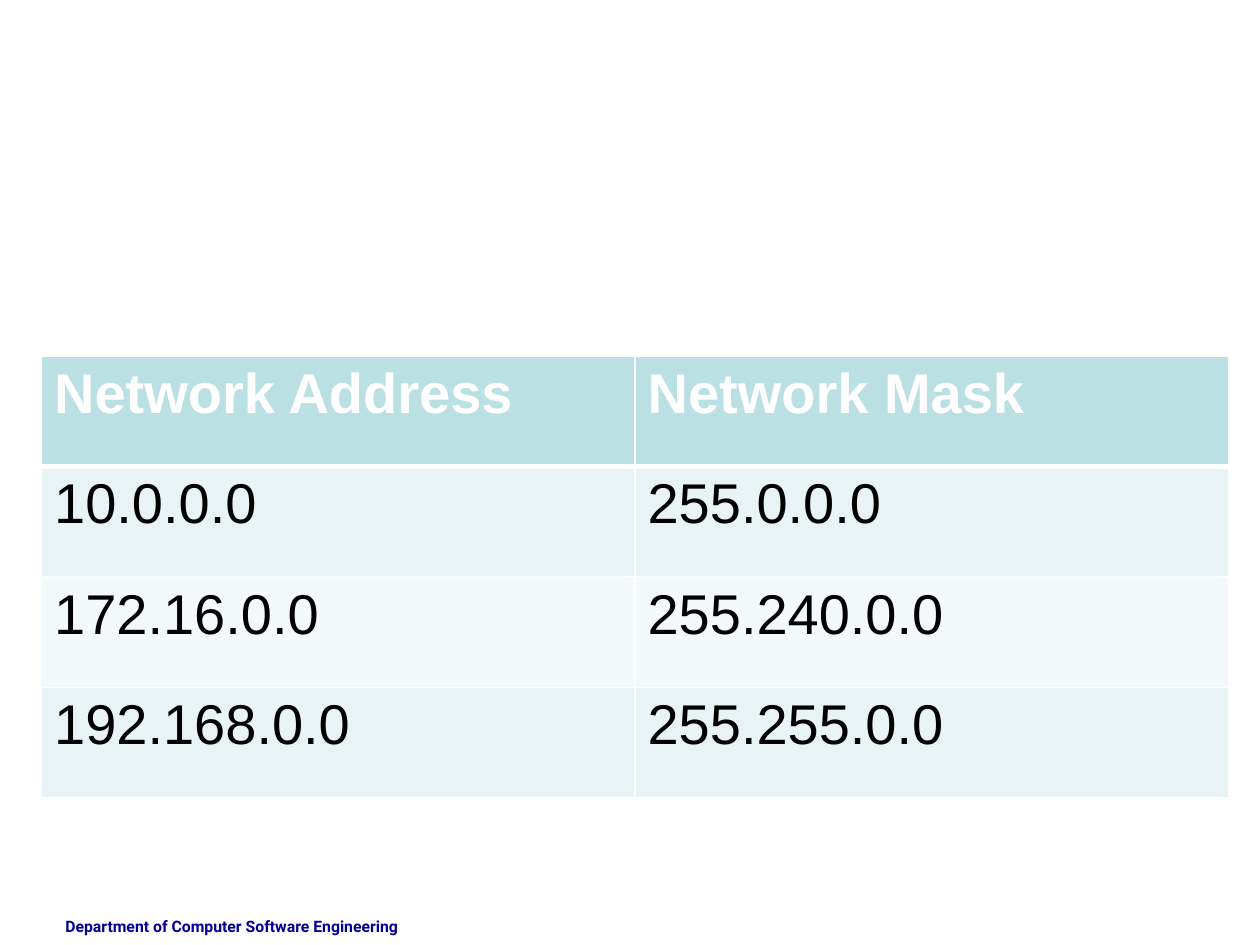
from typing import NamedTuple

from lxml.etree import SubElement
from pptx import Presentation
from pptx.dml.color import RGBColor
from pptx.oxml.ns import qn
from pptx.util import Inches, Pt

COLORS = {
    "white": "FFFFFF",
    "black": "000000",
    "navy": "000099",
    "header": "BBE0E3",
    "band": "E7F3F4",
    "light_band": "F3F9FA",
}


class Row(NamedTuple):
    address: str
    mask: str
    fill: str
    color: str = "black"
    bold: bool = False
    bottom: float = 1
    top: float = 1


ROWS = [
    Row("Network Address", "Network Mask", "header", "white", True, bottom=3),
    Row("10.0.0.0", "255.0.0.0", "band", top=3),
    Row("172.16.0.0", "255.240.0.0", "light_band"),
    Row("192.168.0.0", "255.255.0.0", "band"),
]


def rgb(name: str) -> RGBColor:
    return RGBColor.from_string(COLORS[name])


def write(tf, text: str, *, size: float, font: str, color: str, bold: bool = False) -> None:
    r = tf.paragraphs[0].add_run()
    r.text = text
    r.font.size = Pt(size)
    r.font.name = font
    r.font.bold = bold
    r.font.color.rgb = rgb(color)


def set_borders(cell, top: float, bottom: float) -> None:
    """Draw white cell borders; call before the fill, which follows them in the XML."""
    tc_pr = cell._tc.get_or_add_tcPr()
    for side, width in (("L", 1), ("R", 1), ("T", top), ("B", bottom)):
        ln = SubElement(tc_pr, qn(f"a:ln{side}"), w=str(Pt(width)))
        fill = SubElement(ln, qn("a:solidFill"))
        SubElement(fill, qn("a:srgbClr"), val=COLORS["white"])


def draw_row(cells, row: Row) -> None:
    for cell, text in zip(cells, (row.address, row.mask)):
        set_borders(cell, row.top, row.bottom)
        cell.fill.solid()
        cell.fill.fore_color.rgb = rgb(row.fill)
        write(cell.text_frame, text, size=32, font="Arial", color=row.color, bold=row.bold)


def main() -> None:
    prs = Presentation()
    prs.slide_width, prs.slide_height = Inches(10), Inches(7.5)
    s = prs.slides.add_slide(prs.slide_layouts[6])

    # Department footer
    tf = s.shapes.add_textbox(Inches(0.42), Inches(7.23), Inches(3.08), Inches(0.27)).text_frame
    tf.word_wrap = True
    write(tf, "Department of Computer Software Engineering",
          size=9, font="Roboto", color="navy", bold=True)

    # Private network table
    table = s.shapes.add_table(len(ROWS), 2, Inches(0.33), Inches(2.83),
                               Inches(9.42), Inches(3.5)).table
    for table_row, row in zip(table.rows, ROWS):
        draw_row(table_row.cells, row)

    prs.save("out.pptx")


if __name__ == "__main__":
    main()
